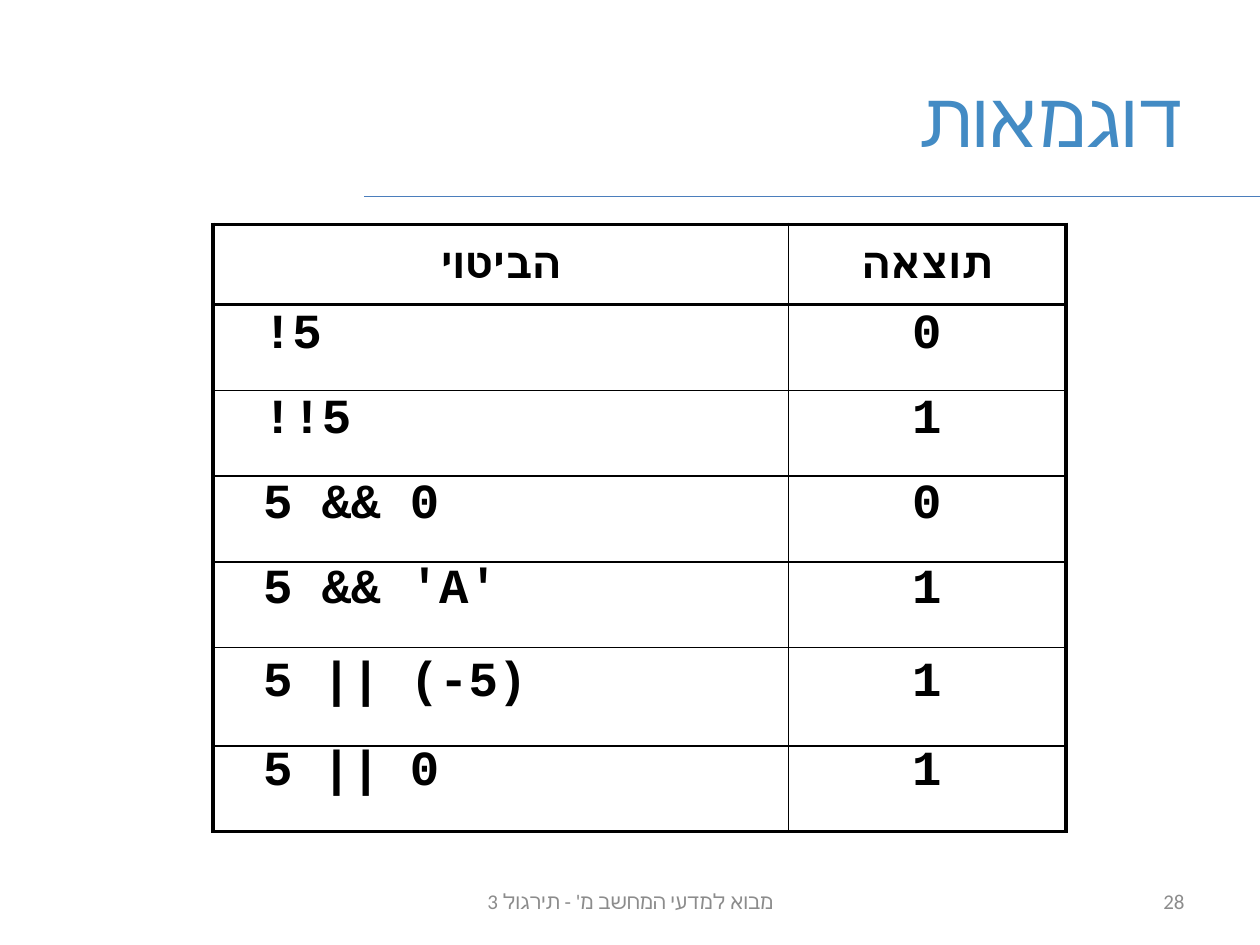
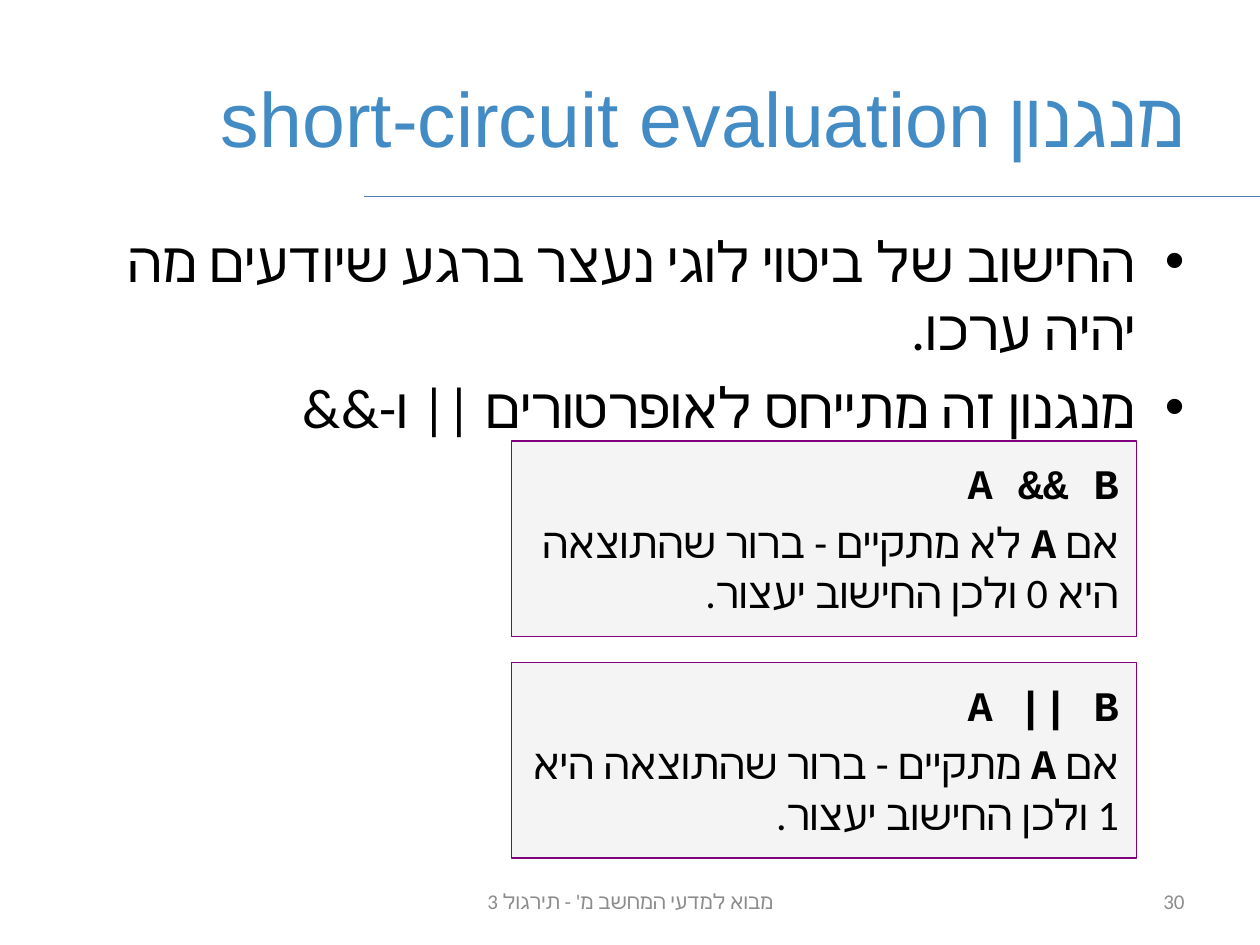
from lxml.etree import SubElement
from pptx import Presentation
from pptx.dml.color import RGBColor
from pptx.enum.shapes import MSO_CONNECTOR, MSO_SHAPE
from pptx.enum.text import MSO_ANCHOR as ANCHOR, MSO_AUTO_SIZE as AUTO, PP_ALIGN as ALIGN
from pptx.oxml.ns import qn
from pptx.util import Pt

# Shared look; lengths are px, 100 to the inch
PX = 9144
TITLE_BLUE = RGBColor(0x43, 0x8B, 0xC4)
RULE_BLUE = RGBColor(0x4B, 0x7E, 0xBC)
GREY = RGBColor(0x8C, 0x8C, 0x8C)
BLACK = RGBColor(0, 0, 0)
WHITE = RGBColor(0xFF, 0xFF, 0xFF)
BOX_FILL = RGBColor(0xF4, 0xF4, 0xF4)
PURPLE = RGBColor(0x80, 0, 0x80)
SANS, TITLE_FONT, SERIF, CODE = "Calibri", "Arial", "Times New Roman", "Courier New"

# Content
FOOTER = "מבוא למדעי המחשב מ' - תירגול 3"
EXAMPLES_TITLE = "דוגמאות"
HEADERS = ["הביטוי", "תוצאה"]
EXAMPLES = [  # expression, result, top
    ("!5", "0", 233),
    ("!!5", "1", 300),
    ("5 && 0", "0", 368),
    ("5 && 'A'", "1", 435),
    ("5 || (-5)", "1", 509),
    ("5 || 0", "1", 580),
]
COLUMNS = [457, 220]
ROWS = [64, 68, 68, 68, 68, 78, 68]
TEXT_LEFTS = [(199, 323), (714, 79)]  # left and width in each column

CIRCUIT_TITLE = "מנגנון short-circuit evaluation"
BULLETS = [
    "החישוב של ביטוי לוגי נעצר ברגע שיודעים מה יהיה ערכו.",
    "מנגנון זה מתייחס לאופרטורים || ו-&&",
]
RULES = [  # expression, then the runs that explain it
    ("A && B", [("אם ", SERIF), ("A", CODE), (" לא מתקיים", SERIF),
                (" - ברור שהתוצאה היא 0 ולכן החישוב יעצור.", SANS)]),
    ("A || B", [("אם ", SANS), ("A", CODE),
                (" מתקיים - ברור שהתוצאה היא 1 ולכן החישוב יעצור.", SANS)]),
]


def place(sp, x, y, w, h):
    sp.left, sp.top, sp.width, sp.height = (v * PX for v in (x, y, w, h))


def write(p, text, font=SANS, size=24, color=BLACK, bold=False, align=ALIGN.RIGHT,
          rtl=True, before=None):
    """Add a run to paragraph p and set the paragraph's direction and spacing."""
    p.alignment = align
    pPr = p._p.get_or_add_pPr()
    pPr.set("rtl", str(int(rtl)))
    if before and pPr.find(qn("a:spcBef")) is None:
        spacing = SubElement(pPr, qn("a:spcBef"))
        SubElement(spacing, qn("a:spcPct")).set("val", str(before * 1000))
    r = p.add_run()
    r.text = text
    r.font.name, r.font.size, r.font.bold = font, Pt(size), bold
    r.font.color.rgb = color
    SubElement(r._r.get_or_add_rPr(), qn("a:cs")).set("typeface", SANS)


def add_text(s, box, text, anchor=ANCHOR.TOP, **style):
    sp = s.shapes.add_textbox(*(v * PX for v in box))
    tf = sp.text_frame
    tf.word_wrap = True
    tf.vertical_anchor = anchor
    write(tf.paragraphs[0], text, **style)
    return tf


def new_slide(prs, layout, title, number):
    """Title, rule, footer and number that both slides share."""
    s = prs.slides.add_slide(prs.slide_layouts[layout])
    rule = s.shapes.add_connector(MSO_CONNECTOR.STRAIGHT, 1000 * PX, 156 * PX, 289 * PX, 156 * PX)
    rule.line.color.rgb, rule.line.width = RULE_BLUE, Pt(0.75)
    SubElement(rule._element.spPr, qn("a:effectLst"))
    place(s.shapes.title, 50, 30, 900, 125)
    tf = s.shapes.title.text_frame
    tf.vertical_anchor = ANCHOR.MIDDLE
    write(tf.paragraphs[0], title, font=TITLE_FONT, size=44, color=TITLE_BLUE)
    small = dict(anchor=ANCHOR.MIDDLE, size=12, color=GREY)
    add_text(s, (342, 695, 317, 40), FOOTER, align=ALIGN.CENTER, **small)
    add_text(s, (717, 695, 233, 40), number, **small)
    return s


def set_borders(cell, **widths):
    """Draw black borders; they come before the fill in the cell's XML."""
    tcPr = cell._tc.get_or_add_tcPr()
    for i, side in enumerate(("L", "R", "T", "B")):
        ln = SubElement(tcPr, qn(f"a:ln{side}"), w=str(Pt(widths[side])))
        fill = SubElement(ln, qn("a:solidFill"))
        SubElement(fill, qn("a:srgbClr"), val=str(BLACK))
        tcPr.insert(i, ln)


def add_examples_table(s):
    table = s.shapes.add_table(len(ROWS), len(COLUMNS), 169 * PX, 178 * PX,
                               sum(COLUMNS) * PX, sum(ROWS) * PX).table
    table.first_row = table.horz_banding = False
    for column, width in zip(table.columns, COLUMNS):
        column.width = width * PX
    edges_y = [2.25, 2] + [1] * (len(ROWS) - 2) + [2.25]
    edges_x = [2.25, 1, 2.25]
    for i, height in enumerate(ROWS):
        table.rows[i].height = height * PX
        for j in range(len(COLUMNS)):
            cell = table.cell(i, j)
            cell.fill.solid()
            cell.fill.fore_color.rgb = WHITE
            set_borders(cell, L=edges_x[j], R=edges_x[j + 1], T=edges_y[i], B=edges_y[i + 1])
    for j, header in enumerate(HEADERS):
        cell = table.cell(0, j)
        cell.vertical_anchor = ANCHOR.MIDDLE
        write(cell.text_frame.paragraphs[0], header, font=SERIF, bold=True, align=ALIGN.CENTER)


def add_rule_box(s, y, expression, explanation):
    sp = s.shapes.add_shape(MSO_SHAPE.RECTANGLE, 406 * PX, y * PX, 496 * PX, 155 * PX)
    sp.shadow.inherit = False
    sp.fill.solid()
    sp.fill.fore_color.rgb = BOX_FILL
    sp.line.color.rgb, sp.line.width = PURPLE, Pt(0.75)
    tf = sp.text_frame
    tf.word_wrap, tf.auto_size = True, AUTO.SHAPE_TO_FIT_TEXT
    tf.vertical_anchor = ANCHOR.TOP
    tf.margin_left = tf.margin_right = 14 * PX
    tf.margin_top = tf.margin_bottom = 13 * PX
    write(tf.paragraphs[0], expression, font=CODE, bold=True, before=20)
    p = tf.add_paragraph()
    for text, font in explanation:
        write(p, text, font=font, bold=font == CODE, before=20)


def main():
    prs = Presentation()
    prs.slide_width, prs.slide_height = 1000 * PX, 750 * PX

    # Examples: table with expressions and results over it
    s = new_slide(prs, 5, EXAMPLES_TITLE, "28")
    add_examples_table(s)
    for *texts, y in EXAMPLES:
        for text, (x, w) in zip(texts, TEXT_LEFTS):
            tf = add_text(s, (x, y, w, 57), text, font=CODE, size=28, bold=True,
                          align=ALIGN.LEFT, rtl=False, before=50)
            tf.auto_size = AUTO.SHAPE_TO_FIT_TEXT

    # Short-circuit evaluation: bullets and two boxes
    s = new_slide(prs, 1, CIRCUIT_TITLE, "30")
    body = s.placeholders[1]
    place(body, 50, 175, 900, 495)
    tf = body.text_frame
    for i, bullet in enumerate(BULLETS):
        p = tf.add_paragraph() if i else tf.paragraphs[0]
        write(p, bullet, size=32, before=20)
        # The indent is measured from the right edge
        pPr = p._p.get_or_add_pPr()
        pPr.set("marL", "0")
        pPr.set("marR", str(38 * PX))
        pPr.set("marL", str(38 * PX))
        pPr.set("indent", str(-38 * PX))
        del pPr.attrib["marR"]
    for i, (expression, explanation) in enumerate(RULES):
        add_rule_box(s, 350 + 176 * i, expression, explanation)

    prs.save("out.pptx")


if __name__ == "__main__":
    main()
